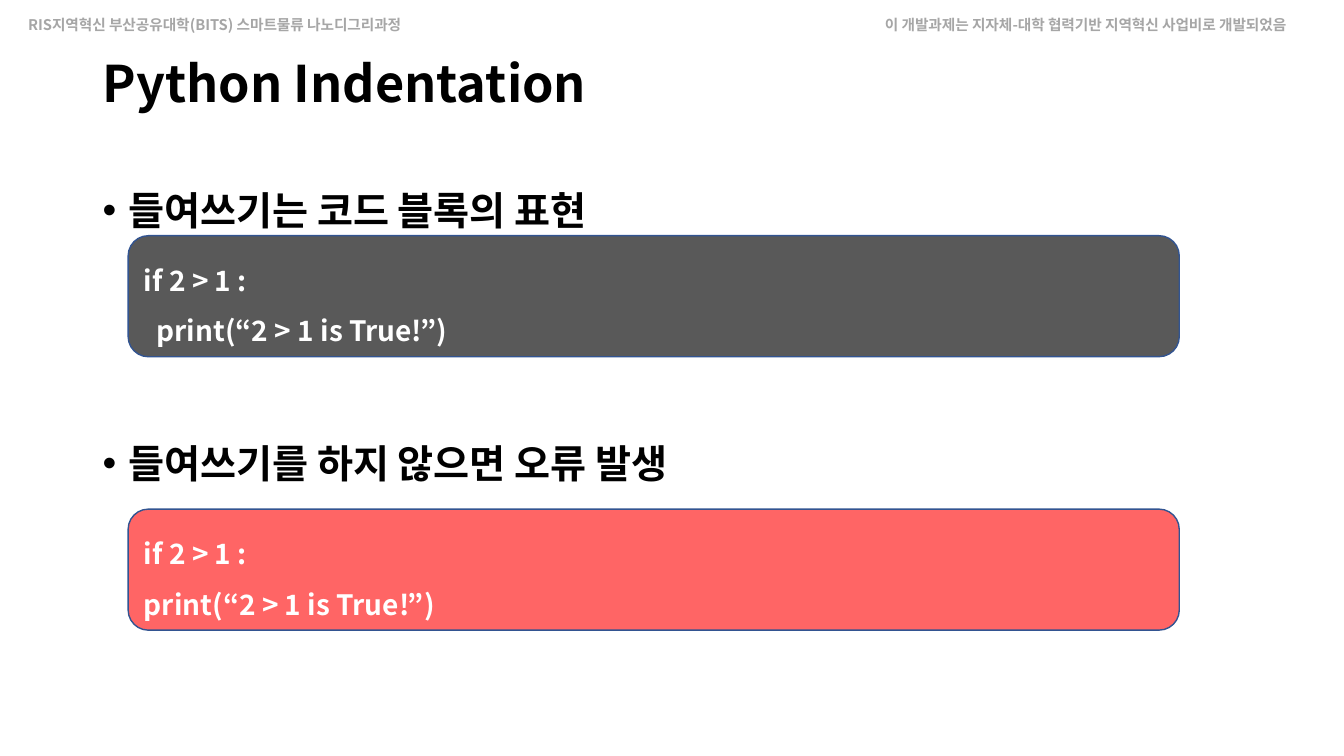
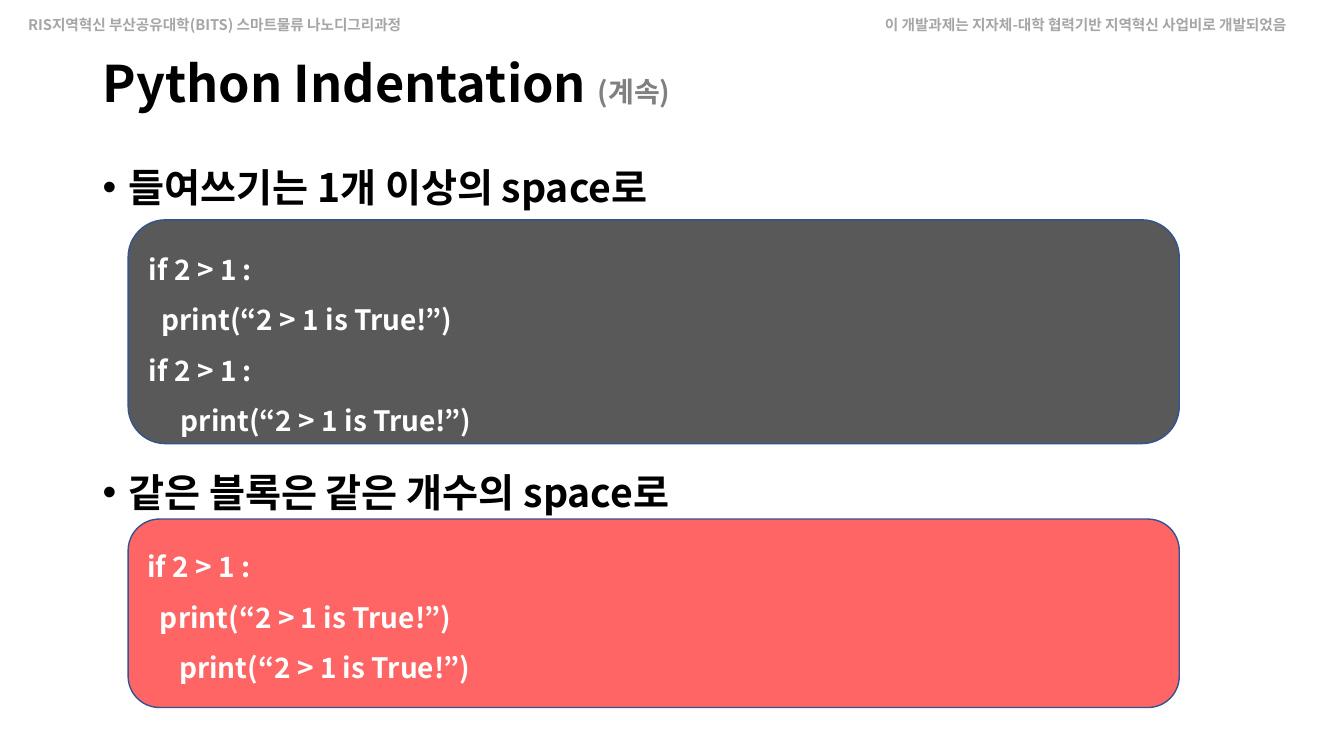
"""Build two slides on Python indentation."""
from dataclasses import dataclass

import lxml.etree
import pptx
import pptx.dml.color
import pptx.enum.shapes
import pptx.enum.text
import pptx.oxml.ns
import pptx.util

Cm = pptx.util.Cm
Pt = pptx.util.Pt
qn = pptx.oxml.ns.qn
Anchor = pptx.enum.text.MSO_ANCHOR

FONT = "Noto Sans CJK KR"
COLORS = {
    "ink": "000000",
    "note": "808080",
    "head": "A6A6A6",
    "good": "595959",
    "bad": "FF6565",
    "edge": "325491",
    "code": "FFFFFF",
}


@dataclass(frozen=True)
class Box:
    left: float
    top: float
    width: float
    height: float

    def place(self) -> tuple:
        return Cm(self.left), Cm(self.top), Cm(self.width), Cm(self.height)


@dataclass(frozen=True)
class Panel:
    point: str
    y: float
    fill: str
    top: float
    height: float
    code: tuple[str, ...]


@dataclass(frozen=True)
class Page:
    note: str
    panels: tuple[Panel, ...]


TITLE = "Python Indentation"
TITLE_BOX = Box(2.34, 1.02, 29.21, 2.29)
HEADS = (
    ("RIS지역혁신 부산공유대학(BITS) 스마트물류 나노디그리과정", Box(0.46, 0.28, 10.77, 0.71)),
    ("이 개발과제는 지자체-대학 협력기반 지역혁신 사업비로 개발되었음", Box(22.05, 0.28, 11.82, 0.71)),
)
TEST = "if 2 > 1 :"
PRINT = "print(“2 > 1 is True!”)"
SHORT = "  " + PRINT
LONG = "     " + PRINT
PAGES = (
    Page("", (
        Panel("들여쓰기는 코드 블록의 표현", 4.57, "good", 5.94, 3.05, (TEST, SHORT)),
        Panel("들여쓰기를 하지 않으면 오류 발생", 10.95, "bad", 12.83, 3.05, (TEST, PRINT)),
    )),
    Page("(계속)", (
        Panel("들여쓰기는 1개 이상의 space로", 3.99, "good", 5.54, 5.64, (TEST, SHORT, TEST, LONG)),
        Panel("같은 블록은 같은 개수의 space로", 11.67, "bad", 13.08, 4.75, (TEST, SHORT, LONG)),
    )),
)


def color(name: str) -> pptx.dml.color.RGBColor:
    return pptx.dml.color.RGBColor.from_string(COLORS[name])


def style(para, size: float, tint: str) -> None:
    font = para.font
    font.size, font.bold, font.name = Pt(size), True, FONT
    font.color.rgb = color(tint)
    base = para._p.pPr.find(qn("a:defRPr"))
    lxml.etree.SubElement(base, qn("a:ea"), typeface=FONT)


def label(slide, box: Box, text: str, anchor=Anchor.TOP):
    frame = slide.shapes.add_textbox(*box.place()).text_frame
    frame.word_wrap = True
    frame.vertical_anchor = anchor
    para = frame.paragraphs[0]
    para.add_run().text = text
    return para


def title(slide, note: str) -> None:
    para = label(slide, TITLE_BOX, TITLE + (" " if note else ""), Anchor.MIDDLE)
    para.line_spacing = 0.9
    style(para, 36, "ink")
    if note:
        run = para.add_run()
        run.text = note
        run.font.size = Pt(20)
        run.font.color.rgb = color("note")


def point(slide, panel: Panel) -> None:
    para = label(slide, Box(2.34, panel.y, 29.21, 1.45), panel.point)
    props = para._p.get_or_add_pPr()
    indent = Cm(0.64)
    props.set("marL", str(indent))
    props.set("indent", str(-indent))
    lxml.etree.SubElement(props, qn("a:buFont"), typeface="Arial")
    lxml.etree.SubElement(props, qn("a:buChar"), char="•")
    style(para, 28, "ink")


def block(slide, panel: Panel) -> None:
    box = Box(3.23, panel.top, 26.49, panel.height)
    kind = pptx.enum.shapes.MSO_SHAPE.ROUNDED_RECTANGLE
    shape = slide.shapes.add_shape(kind, *box.place())
    shape.shadow.inherit = False
    shape.fill.solid()
    shape.fill.fore_color.rgb = color(panel.fill)
    shape.line.color.rgb = color("edge")
    shape.line.width = Pt(1)
    frame = shape.text_frame
    frame.word_wrap = True
    frame.vertical_anchor = Anchor.TOP
    frame.text = "\n".join(panel.code)
    for para in frame.paragraphs:
        para.alignment = pptx.enum.text.PP_ALIGN.LEFT
        para.line_spacing = 1.5
        style(para, 20, "code")


def draw(slide, page: Page) -> None:
    for text, box in HEADS:
        style(label(slide, box, text), 10.5, "head")
    title(slide, page.note)
    for panel in page.panels:
        point(slide, panel)
        block(slide, panel)


def main() -> None:
    deck = pptx.Presentation()
    deck.slide_width, deck.slide_height = Cm(33.87), Cm(19.05)
    for page in PAGES:
        draw(deck.slides.add_slide(deck.slide_layouts[6]), page)
    deck.save("out.pptx")


if __name__ == "__main__":
    main()
